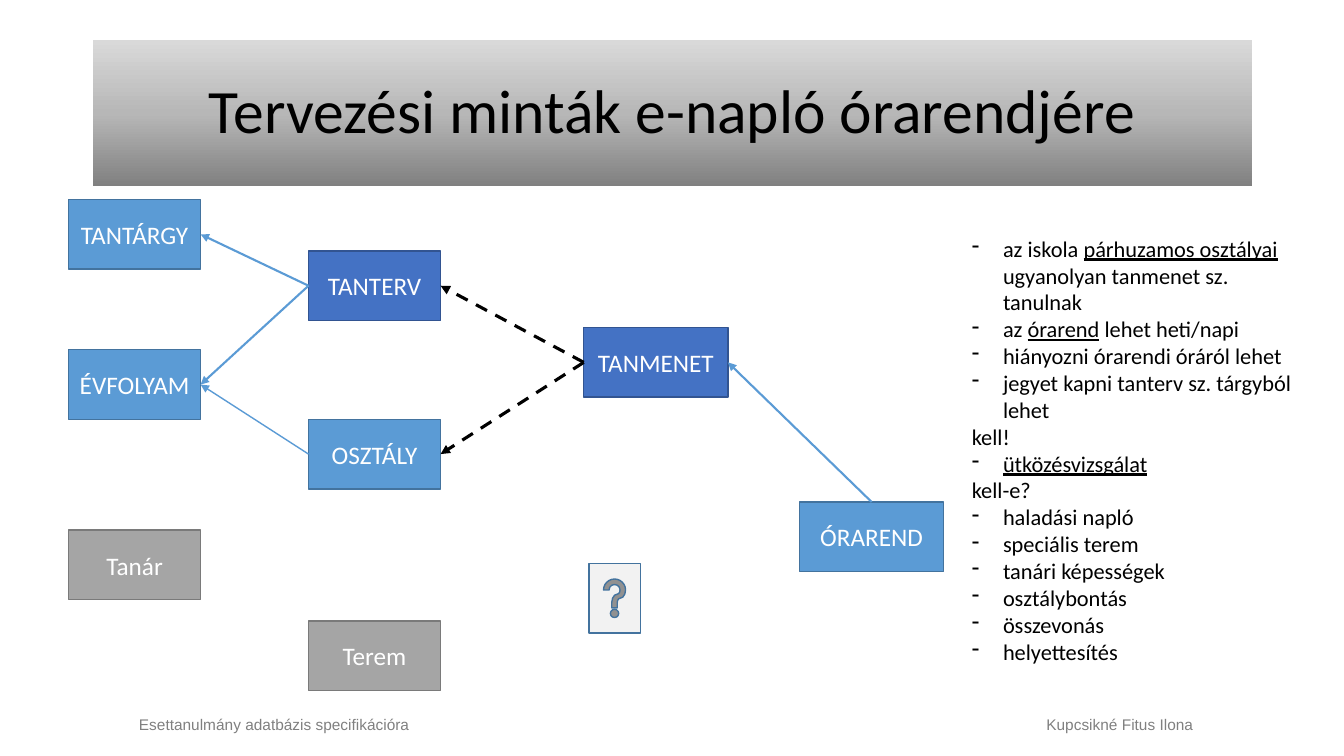
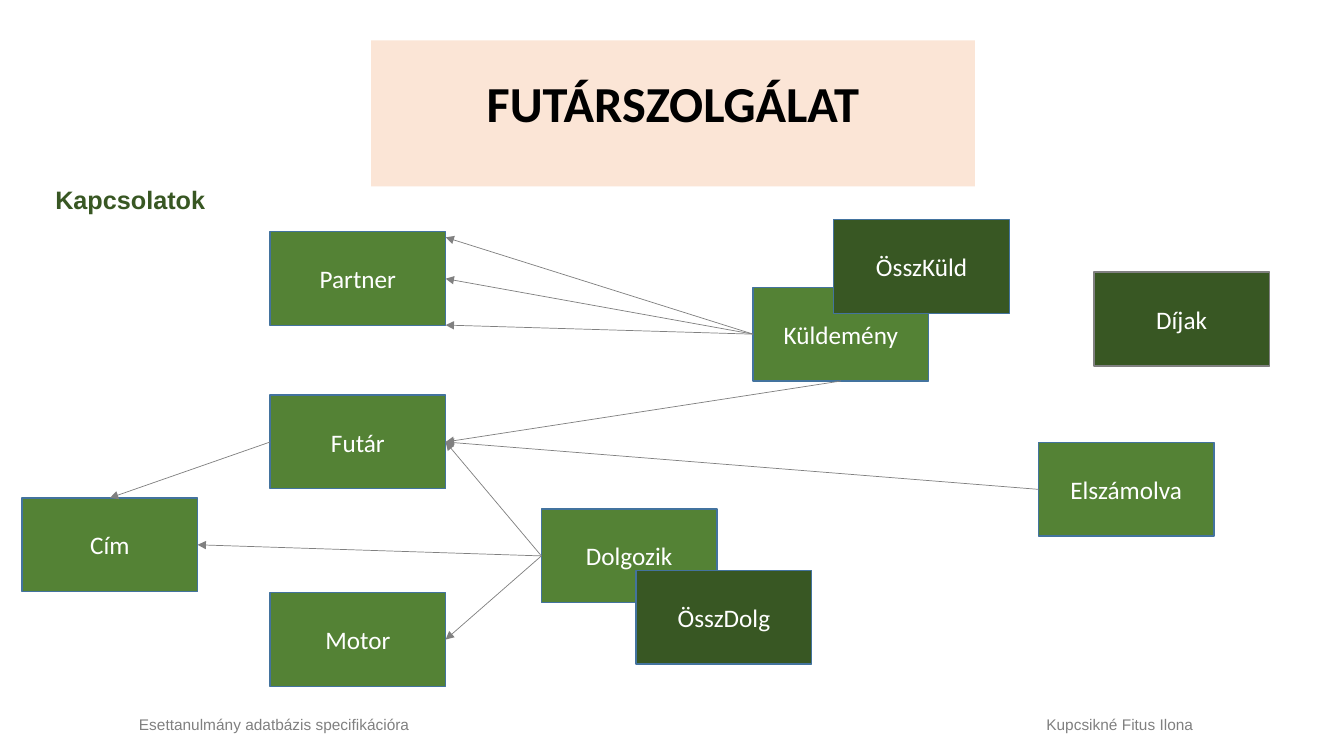
from copy import deepcopy
from dataclasses import dataclass

from lxml import etree
from pptx import Presentation
from pptx.dml.color import RGBColor
from pptx.enum import dml, shapes, text
from pptx.oxml.ns import qn
from pptx.util import Inches, Pt


@dataclass(frozen=True)
class Theme:
    heading_font: str = "Calibri"
    label_font: str = "Arial"
    black: str = "000000"
    white: str = "FFFFFF"
    grey: str = "808080"
    blue_edge: str = "43739E"
    sky: str = "5B9BD5"
    green: str = "548235"
    dark_green: str = "385723"
    peach: str = "FBE5D6"
    pale: str = "F2F2F2"
    title_gradient: tuple = ((0, "808080"), (0.5, "B7B7B7"), (1, "D9D9D9"))
    title_size: float = 44
    courier_title_size: float = 36
    node_size: float = 18
    note_size: float = 16
    footer_size: float = 11


THEME = Theme()

# Node styles: fill and edge
ENTITY = (THEME.sky, THEME.blue_edge)
LINKING = ("4472C4", "325491")
OPEN = ("A5A5A5", "7A7A7A")
COURIER = (THEME.green, THEME.blue_edge)
SUMMARY = (THEME.dark_green, THEME.blue_edge)
FEES = (THEME.dark_green, THEME.grey)

# Connection sites of a rectangle
TOP, LEFT, BOTTOM, RIGHT = range(4)

NOTES = [
    "- az iskola _párhuzamos osztályai _ugyanolyan tanmenet sz. tanulnak",
    "- az _órarend_ lehet heti/napi",
    "- hiányozni órarendi óráról lehet",
    "- jegyet kapni tanterv sz. tárgyból lehet",
    "kell!",
    "- _ütközésvizsgálat_",
    "kell-e?",
    "- haladási napló",
    "- speciális terem",
    "- tanári képességek",
    "- osztálybontás",
    "- összevonás",
    "- helyettesítés",
]


def rgb(value):
    return RGBColor.from_string(value)


def style_font(font, size, color, name=THEME.heading_font, bold=False):
    font.name, font.size, font.bold = name, Pt(size), bold
    font.color.rgb = rgb(color)


def add_text_box(slide, box):
    frame = slide.shapes.add_textbox(*map(Inches, box)).text_frame
    frame.word_wrap = True
    return frame


def add_title(slide, box, wording, size, bold=False, bottom_inset=0.05):
    title = slide.shapes.title
    title.left, title.top, title.width, title.height = map(Inches, box)
    frame = title.text_frame
    frame.text = wording
    frame.auto_size = text.MSO_AUTO_SIZE.NONE
    frame.vertical_anchor = text.MSO_ANCHOR.MIDDLE
    frame.margin_bottom = Inches(bottom_inset)
    paragraph = frame.paragraphs[0]
    paragraph.alignment = text.PP_ALIGN.CENTER
    paragraph.line_spacing = 0.9
    style_font(paragraph.font, size, THEME.black, bold=bold)
    return title


def fill_gradient(shape, stops):
    shape.fill.gradient()
    shape.fill.gradient_angle = 90
    stop_list = shape._element.spPr.find(qn("a:gradFill")).find(qn("a:gsLst"))
    stop_list.append(deepcopy(stop_list[0]))
    for stop, (position, color) in zip(shape.fill.gradient_stops, stops):
        stop.position = position
        stop.color.rgb = rgb(color)


def add_footer(slide, box):
    paragraph = add_text_box(slide, box).paragraphs[0]
    paragraph.text = "Esettanulmány adatbázis specifikációra\tKupcsikné Fitus Ilona"
    tabs = etree.SubElement(paragraph._p.get_or_add_pPr(), qn("a:tabLst"))
    etree.SubElement(tabs, qn("a:tab"), pos=str(Inches(9)), algn="l")
    style_font(paragraph.font, THEME.footer_size, THEME.grey, THEME.label_font)


def add_shape(slide, kind, box, style):
    fill, edge = style
    shape = slide.shapes.add_shape(kind, *map(Inches, box))
    shape.shadow.inherit = False
    shape.fill.solid()
    shape.fill.fore_color.rgb = rgb(fill)
    shape.line.color.rgb = rgb(edge)
    shape.line.width = Pt(1)
    return shape


def add_nodes(slide, origin, height, nodes):
    """Place (label, x, y, width, style) nodes from the origin; return them by label."""
    placed = {}
    for label, x, y, width, style in nodes:
        box = (origin[0] + x, origin[1] + y, width, height)
        node = add_shape(slide, shapes.MSO_SHAPE.RECTANGLE, box, style)
        frame = node.text_frame
        frame.text = label
        frame.word_wrap = True
        frame.margin_left = frame.margin_right = Inches(0.05)
        frame.vertical_anchor = text.MSO_ANCHOR.MIDDLE
        paragraph = frame.paragraphs[0]
        paragraph.alignment = text.PP_ALIGN.CENTER
        style_font(paragraph.font, THEME.node_size, THEME.white)
        placed[label] = node
    return placed


def add_arrow(slide, start, start_site, end, end_site, color, width, dashed=False, shift=0):
    """Join two nodes; a shift moves the arrowhead down from the end site."""
    arrow = slide.shapes.add_connector(shapes.MSO_CONNECTOR.STRAIGHT, 0, 0, 0, 0)
    arrow.begin_connect(start, start_site)
    if shift:
        arrow.end_x = end.left + end.width
        arrow.end_y = end.top + end.height // 2 + Inches(shift)
    else:
        arrow.end_connect(end, end_site)
    arrow.line.color.rgb = rgb(color)
    arrow.line.width = Pt(width)
    if dashed:
        arrow.line.dash_style = dml.MSO_LINE.DASH
    etree.SubElement(arrow.line._get_or_add_ln(), qn("a:tailEnd"), type="triangle")
    etree.SubElement(arrow._element.spPr, qn("a:effectLst"))


def add_notes(slide, box):
    frame = add_text_box(slide, box)
    for index, note in enumerate(NOTES):
        paragraph = frame.add_paragraph() if index else frame.paragraphs[0]
        if note.startswith("- "):
            properties = paragraph._p.get_or_add_pPr()
            properties.set("marL", str(Inches(0.31)))
            properties.set("indent", str(-Inches(0.31)))
            etree.SubElement(properties, qn("a:buChar"), char="-")
        style_font(paragraph.font, THEME.note_size, THEME.black)
        # Underscores enclose underlined words
        for position, piece in enumerate(note.removeprefix("- ").split("_")):
            if piece:
                run = paragraph.add_run()
                run.text = piece
                if position % 2:
                    run.font.underline = True


def add_timetable_diagram(slide, origin):
    narrow, wide = 1.31, 1.43
    nodes = add_nodes(slide, origin, 0.69, [
        ("TANTÁRGY", 0, 0, narrow, ENTITY),
        ("ÉVFOLYAM", 0, 1.49, narrow, ENTITY),
        ("Tanár", 0, 3.28, narrow, OPEN),
        ("TANTERV", 2.38, 0.51, narrow, LINKING),
        ("OSZTÁLY", 2.38, 2.18, narrow, ENTITY),
        ("Terem", 2.38, 4.18, narrow, OPEN),
        ("TANMENET", 5.11, 1.27, wide, LINKING),
        ("ÓRAREND", 7.25, 3, wide, ENTITY),
    ])
    for start, site, end, color, width, dashed in [
        ("TANTERV", LEFT, "TANTÁRGY", THEME.sky, 1.5, False),
        ("TANTERV", LEFT, "ÉVFOLYAM", THEME.sky, 1.5, False),
        ("OSZTÁLY", LEFT, "ÉVFOLYAM", THEME.sky, 1, False),
        ("TANMENET", LEFT, "TANTERV", THEME.black, 2.25, True),
        ("TANMENET", LEFT, "OSZTÁLY", THEME.black, 2.25, True),
        ("ÓRAREND", TOP, "TANMENET", THEME.sky, 1.5, False),
    ]:
        add_arrow(slide, nodes[start], site, nodes[end], RIGHT, color, width, dashed)
    # Question mark for the open entities
    add_shape(slide, shapes.MSO_SHAPE.ACTION_BUTTON_HELP,
              (origin[0] + 5.16, origin[1] + 3.61, 0.51, 0.69), (THEME.pale, THEME.blue_edge))


def add_courier_diagram(slide, origin):
    width = 1.74
    nodes = add_nodes(slide, origin, 0.93, [
        ("Cím", 0, 2.76, width, COURIER),
        ("Partner", 2.46, 0.12, width, COURIER),
        ("Futár", 2.46, 1.74, width, COURIER),
        ("Motor", 2.46, 3.7, width, COURIER),
        ("Dolgozik", 5.15, 2.87, width, COURIER),
        ("Küldemény", 7.25, 0.67, width, COURIER),
        ("Elszámolva", 10.08, 2.21, width, COURIER),
        ("Díjak", 10.63, 0.52, width, FEES),
        ("ÖsszKüld", 8.05, 0, width, SUMMARY),
        ("ÖsszDolg", 6.09, 3.48, width, SUMMARY),
    ])
    for start, start_site, end, end_site, shift in [
        ("Küldemény", LEFT, "Partner", RIGHT, -0.41),
        ("Küldemény", LEFT, "Partner", RIGHT, 0),
        ("Küldemény", LEFT, "Partner", RIGHT, 0.46),
        ("Küldemény", BOTTOM, "Futár", RIGHT, 0),
        ("Elszámolva", LEFT, "Futár", RIGHT, 0),
        ("Dolgozik", LEFT, "Futár", RIGHT, 0),
        ("Dolgozik", LEFT, "Motor", RIGHT, 0),
        ("Dolgozik", LEFT, "Cím", RIGHT, 0),
        ("Futár", LEFT, "Cím", TOP, 0),
    ]:
        add_arrow(slide, nodes[start], start_site, nodes[end], end_site,
                  THEME.grey, 0.5, shift=shift)


def add_section_label(slide, box, wording):
    frame = add_text_box(slide, box)
    frame.vertical_anchor = text.MSO_ANCHOR.MIDDLE
    paragraph = frame.paragraphs[0]
    paragraph.text = wording
    style_font(paragraph.font, THEME.node_size, THEME.dark_green, THEME.label_font, bold=True)


def build_timetable_slide(slide):
    title = add_title(slide, (0.92, 0.4, 11.5, 1.45),
                      "Tervezési minták e-napló órarendjére", THEME.title_size)
    fill_gradient(title, THEME.title_gradient)
    add_timetable_diagram(slide, (0.68, 1.98))
    add_notes(slide, (9.54, 2.28, 3.5, 4.41))


def build_courier_slide(slide):
    title = add_title(slide, (3.68, 0.4, 5.99, 1.45), "FUTÁRSZOLGÁLAT",
                      THEME.courier_title_size, bold=True, bottom_inset=0.2)
    title.fill.solid()
    title.fill.fore_color.rgb = rgb(THEME.peach)
    add_section_label(slide, (0.45, 1.78, 2.38, 0.4), "Kapcsolatok")
    add_courier_diagram(slide, (0.22, 2.18))


def main():
    presentation = Presentation()
    presentation.slide_width, presentation.slide_height = Inches(13.33), Inches(7.5)
    title_only = presentation.slide_layouts[5]
    for build in (build_timetable_slide, build_courier_slide):
        slide = presentation.slides.add_slide(title_only)
        build(slide)
        add_footer(slide, (1.28, 7.05, 10.76, 0.29))
    presentation.save("out.pptx")


if __name__ == "__main__":
    main()
